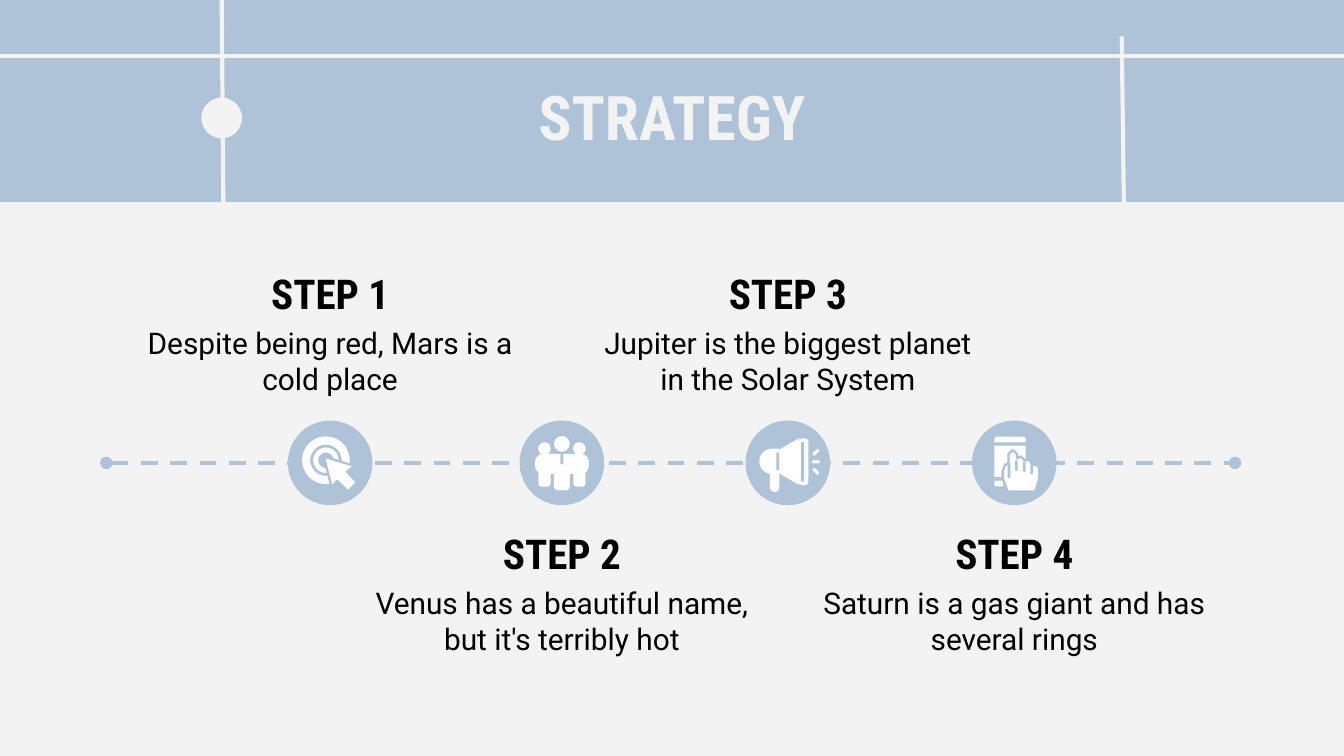
from dataclasses import dataclass

import lxml.etree
import pptx
import pptx.dml.color
import pptx.enum.dml
import pptx.enum.shapes
import pptx.enum.text
import pptx.oxml.ns
import pptx.util

Cm = pptx.util.Cm
Pt = pptx.util.Pt
MSO = pptx.enum.shapes.MSO_SHAPE

COLORS = {"blue": "AEC2D8", "paper": "F3F3F3", "white": "FFFFFF", "black": "000000"}
HEAD_FONT, BODY_FONT = "Roboto Condensed", "Roboto"
SLIDE_W, SLIDE_H, BAND_H = 25.4, 14.29, 3.82
TIMELINE_Y, DISC = 8.75, 1.6
TEXT_W, HEAD_H, BODY_H, HEAD_TO_BODY = 7.72, 1.09, 1.75, 1.07
UPPER_Y, LOWER_Y = 4.82, 9.74


@dataclass
class Part:
    """Preset shape of an icon; x and y are the offset of its middle from the disc's."""
    kind: MSO
    x: float
    y: float
    w: float
    h: float
    fill: str = "white"
    adj: float | None = None
    rotation: float = 0
    outline: float = 0


@dataclass
class Outline:
    """Polygon of an icon, in offsets from the middle of the disc."""
    points: list[tuple[float, float]]
    outline: float = 0


@dataclass
class Step:
    x: float
    y: float
    title: str
    text: str
    icon: list[Part | Outline]


def bar(x: float, y: float, w: float, h: float, **options) -> Part:
    return Part(MSO.ROUNDED_RECTANGLE, x, y, w, h, **{"adj": 0.5, **options})


def dot(x: float, y: float, d: float, **options) -> Part:
    return Part(MSO.OVAL, x, y, d, d, **options)


TARGET = [
    Part(MSO.DONUT, -0.08, -0.05, 0.9, 0.9, adj=0.17),
    Part(MSO.DONUT, -0.08, -0.05, 0.48, 0.48, adj=0.19),
    Outline([(-0.12, -0.12), (0.03, 0.47), (0.13, 0.34), (0.34, 0.54),
             (0.51, 0.37), (0.32, 0.17), (0.46, 0.06)], outline=1.25),
]
TEAM = [
    bar(0, 0.02, 1.02, 0.38, adj=0.4),
    *(dot(side * 0.33, -0.27, 0.24) for side in (-1, 1)),
    *(bar(side * 0.33, 0.2, 0.23, 0.5, adj=0.25) for side in (-1, 1)),
    bar(0, 0.2, 0.3, 0.64, adj=0.25),
    dot(0, -0.36, 0.34, outline=1),
    bar(0, -0.07, 0.06, 0.2, fill="blue"),
]
MEGAPHONE = [
    bar(-0.25, -0.03, 0.58, 0.48),
    Outline([(-0.13, -0.27), (0.22, -0.47), (0.22, 0.42), (-0.13, 0.22)]),
    bar(0.3, -0.02, 0.18, 0.89, adj=0.4),
    bar(0.28, -0.02, 0.06, 0.74, fill="blue", adj=0.2),
    bar(-0.25, 0.32, 0.18, 0.46),
    Part(MSO.RECTANGLE, -0.19, -0.03, 0.05, 0.33, fill="blue"),
    *(bar(0.53, -0.02 + turn * 0.18, 0.15, 0.06, rotation=turn * 45)
      for turn in (-1, 0, 1)),
]
PHONE = [
    Part(MSO.ROUND_2_SAME_RECTANGLE, -0.08, -0.44, 0.59, 0.11, adj=0.5),
    Part(MSO.RECTANGLE, -0.08, -0.03, 0.59, 0.59),
    bar(-0.29, 0.39, 0.17, 0.11, adj=0.3),
    Outline([(-0.22, 0.16), (-0.18, 0.05), (-0.11, 0), (-0.11, -0.17),
             (-0.03, -0.24), (0.05, -0.17), (0.05, -0.09), (0.12, -0.12),
             (0.2, -0.05), (0.29, -0.05), (0.34, 0.04), (0.42, 0.04),
             (0.47, 0.1), (0.47, 0.3), (0.4, 0.54), (-0.13, 0.54),
             (-0.22, 0.28)], outline=1.25),
    bar(-0.1, 0.14, 0.05, 0.3, fill="blue"),
    *(bar(x, y, 0.05, 0.2, fill="blue")
      for x, y in ((0.04, 0.05), (0.19, 0.07), (0.33, 0.12))),
]
STEPS = [
    Step(6.24, UPPER_Y, "STEP 1", "Despite being red, Mars is a cold place", TARGET),
    Step(10.62, LOWER_Y, "STEP 2", "Venus has a beautiful name, but it's terribly hot", TEAM),
    Step(14.89, UPPER_Y, "STEP 3", "Jupiter is the biggest planet in the Solar System", MEGAPHONE),
    Step(19.17, LOWER_Y, "STEP 4", "Saturn is a gas giant and has several rings", PHONE),
]


def rgb(name: str) -> pptx.dml.color.RGBColor:
    return pptx.dml.color.RGBColor.from_string(COLORS[name])


def paint(sp, fill: str, outline: float = 0) -> None:
    """Fill a shape; an outline is blue, so that it cuts a gap around the shape."""
    sp.shadow.inherit = False
    sp.fill.solid()
    sp.fill.fore_color.rgb = rgb(fill)
    if outline:
        sp.line.color.rgb = rgb("blue")
        sp.line.width = Pt(outline)
    else:
        sp.line.fill.background()


def add_part(s, part: Part, cx: float = 0, cy: float = 0) -> None:
    sp = s.shapes.add_shape(part.kind, Cm(cx + part.x - part.w / 2),
                            Cm(cy + part.y - part.h / 2), Cm(part.w), Cm(part.h))
    if part.adj is not None:
        sp.adjustments[0] = part.adj
    sp.rotation = part.rotation
    paint(sp, part.fill, part.outline)


def add_outline(s, shape: Outline, cx: float, cy: float) -> None:
    points = [(Cm(cx + x), Cm(cy + y)) for x, y in shape.points]
    builder = s.shapes.build_freeform(*points[0])
    builder.add_line_segments(points[1:], close=True)
    paint(builder.convert_to_shape(), "white", shape.outline)


def add_line(s, x1: float, y1: float, x2: float, y2: float, color: str,
             dashed: bool = False) -> None:
    """Draw a straight line; a dashed one gets oval ends."""
    line = s.shapes.add_connector(pptx.enum.shapes.MSO_CONNECTOR.STRAIGHT,
                                  Cm(x1), Cm(y1), Cm(x2), Cm(y2))
    line.line.color.rgb = rgb(color)
    line.line.width = Pt(2.25)
    qn = pptx.oxml.ns.qn
    if dashed:
        line.line.dash_style = pptx.enum.dml.MSO_LINE.DASH
        for end in ("a:headEnd", "a:tailEnd"):
            lxml.etree.SubElement(line.line._get_or_add_ln(), qn(end), type="oval")
    lxml.etree.SubElement(line._element.spPr, qn("a:effectLst"))


def add_text(s, text: str, *, x: float, y: float, w: float, h: float, size: float,
             font: str, color: str = "black", bold: bool = False) -> None:
    tf = s.shapes.add_textbox(Cm(x), Cm(y), Cm(w), Cm(h)).text_frame
    tf.word_wrap = True
    tf.margin_left = tf.margin_right = tf.margin_top = tf.margin_bottom = Cm(0.25)
    p = tf.paragraphs[0]
    p.alignment = pptx.enum.text.PP_ALIGN.CENTER
    r = p.add_run()
    r.text = text
    r.font.name, r.font.size, r.font.bold = font, Pt(size), bold
    r.font.color.rgb = rgb(color)


def add_header(s) -> None:
    add_part(s, Part(MSO.RECTANGLE, SLIDE_W / 2, BAND_H / 2, SLIDE_W, BAND_H, "blue"))
    for ends in ((0, 1.06, SLIDE_W, 1.06), (4.19, 0, 4.22, BAND_H),
                 (21.2, 0.69, 21.24, BAND_H)):
        add_line(s, *ends, "paper")
    add_part(s, dot(4.19, 2.23, 0.77, fill="paper"))
    add_text(s, "STRATEGY", x=1.98, y=1.24, w=21.44, h=1.6, size=33,
             font=HEAD_FONT, color="paper", bold=True)


def add_step(s, step: Step) -> None:
    left = step.x - TEXT_W / 2
    add_text(s, step.title, x=left, y=step.y, w=TEXT_W, h=HEAD_H, size=22,
             font=HEAD_FONT, bold=True)
    add_text(s, step.text, x=left, y=step.y + HEAD_TO_BODY, w=TEXT_W, h=BODY_H,
             size=16, font=BODY_FONT)
    add_part(s, dot(step.x, TIMELINE_Y, DISC, fill="blue"))
    for item in step.icon:
        draw = add_part if isinstance(item, Part) else add_outline
        draw(s, item, step.x, TIMELINE_Y)


def main() -> None:
    prs = pptx.Presentation()
    prs.slide_width, prs.slide_height = Cm(SLIDE_W), Cm(SLIDE_H)
    s = prs.slides.add_slide(prs.slide_layouts[6])
    s.background.fill.solid()
    s.background.fill.fore_color.rgb = rgb("paper")
    add_header(s)
    add_line(s, 2.01, TIMELINE_Y, 23.34, TIMELINE_Y, "blue", dashed=True)
    for step in STEPS:
        add_step(s, step)
    prs.save("out.pptx")


if __name__ == "__main__":
    main()
